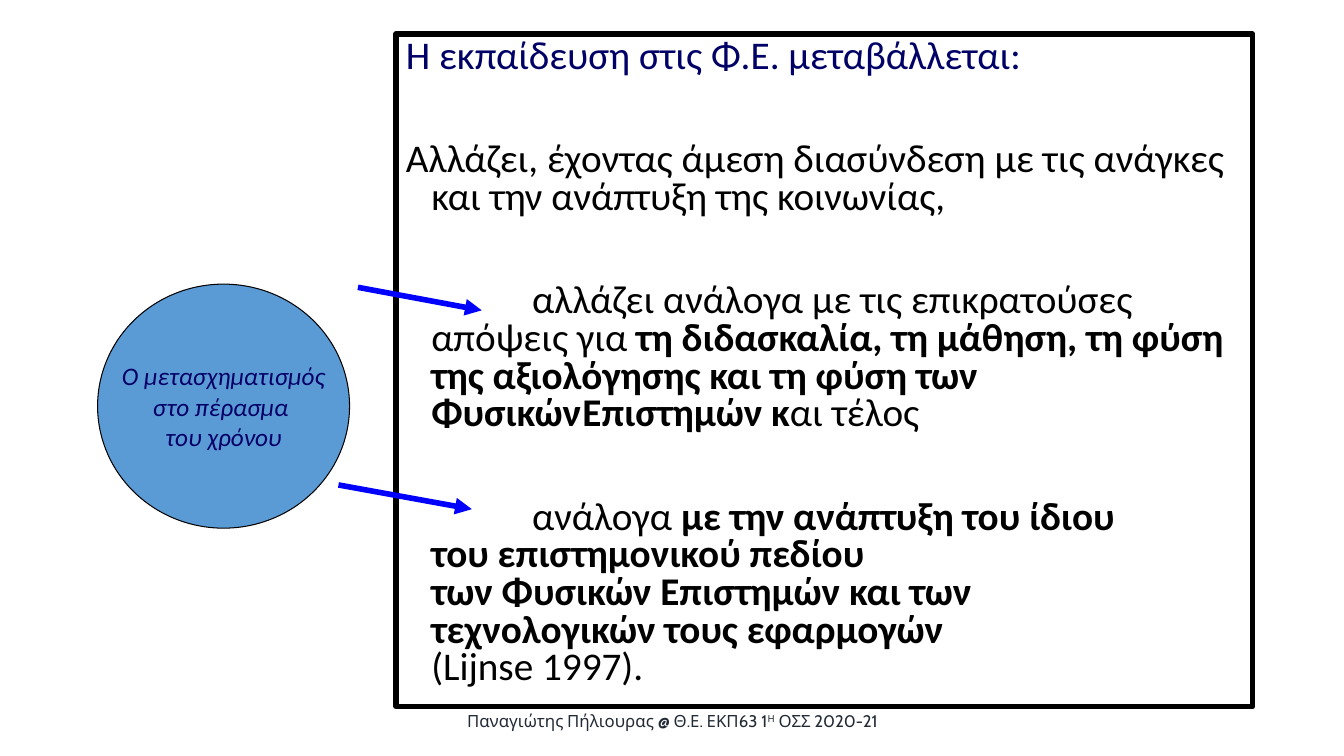
from dataclasses import dataclass

import pptx
import pptx.dml.color
import pptx.enum.shapes
import pptx.enum.text
import pptx.oxml
import pptx.oxml.ns
import pptx.util
from pptx.util import Cm, Pt

NAVY = pptx.dml.color.RGBColor(0x00, 0x00, 0x66)
BLACK = pptx.dml.color.RGBColor(0x00, 0x00, 0x00)
BLUE = pptx.dml.color.RGBColor(0x00, 0x00, 0xFF)
SKY = pptx.dml.color.RGBColor(0x5B, 0x9B, 0xD5)
SLATE = pptx.dml.color.RGBColor(0x22, 0x2A, 0x35)

HANGING = Cm(-0.64)
FIRST_LINE = Cm(2.54)
LINE_GAP = Pt(10)
SECTION_GAP = Pt(47)


@dataclass
class Piece:
    text: str
    bold: bool = False
    baseline: int = 0


@dataclass
class Statement:
    pieces: list[Piece]
    indent: int = HANGING
    space_before: int = SECTION_GAP
    color: pptx.dml.color.RGBColor = BLACK


@dataclass
class Arrow:
    start: tuple[float, float]
    end: tuple[float, float]


STATEMENTS = [
    Statement([Piece("H εκπαίδευση στις Φ.Ε. μεταβάλλεται:")], space_before=LINE_GAP, color=NAVY),
    Statement([Piece("Αλλάζει, έχοντας άμεση διασύνδεση με τις ανάγκες και την ανάπτυξη της κοινωνίας,")]),
    Statement([
        Piece("αλλάζει ανάλογα με τις επικρατούσες απόψεις για "),
        Piece("τη διδασκαλία, τη μάθηση, \tτη φύση της αξιολόγησης και τη φύση των "
              "\vΦυσικών\tΕπιστημών κ", bold=True),
        Piece("αι τέλος"),
    ], indent=FIRST_LINE),
    Statement([
        Piece("ανάλογα "),
        Piece("με την ανάπτυξη του ίδιου \vτου επιστημονικού πεδίου "
              "\vτων Φυσικών Επιστημών και των \vτεχνολογικών τους εφαρμογών ", bold=True),
        Piece("\v(Lijnse 1997)."),
    ], indent=FIRST_LINE),
]
CIRCLE_LINES = ["Ο μετασχηματισμός", "στο πέρασμα ", "του χρόνου"]
FOOTER = [Piece("Παναγιώτης Πήλιουρας @ Θ.Ε. ΕΚΠ63 1"), Piece("Η", baseline=30), Piece(" ΟΣΣ 2020-21")]
ARROWS = [Arrow((8.53, 12.22), (11.89, 12.83)), Arrow((9.02, 7.24), (12.14, 7.82))]


def set_font(paragraph, name: str, size: int, color: pptx.dml.color.RGBColor) -> None:
    paragraph.font.name = name
    paragraph.font.size = Pt(size)
    paragraph.font.color.rgb = color


def add_pieces(paragraph, pieces: list[Piece]) -> None:
    for piece in pieces:
        # A vertical tab marks a line break inside a run of equal formatting
        for number, line in enumerate(piece.text.split("\v")):
            if number:
                paragraph.add_line_break()
            if not line:
                continue
            run = paragraph.add_run()
            run.text = line
            if piece.bold:
                run.font.bold = True
            if piece.baseline:
                run.font._element.set("baseline", str(piece.baseline * 1000))


def next_paragraph(text_frame, number: int):
    return text_frame.add_paragraph() if number else text_frame.paragraphs[0]


def add_statements(slide) -> None:
    shape = slide.shapes.add_shape(
        pptx.enum.shapes.MSO_SHAPE.RECTANGLE, Cm(9.98), Cm(0.86), Cm(21.59), Cm(16.94))
    shape.shadow.inherit = False
    shape.fill.background()
    shape.line.color.rgb = BLACK
    shape.line.width = Pt(4)
    text_frame = shape.text_frame
    text_frame.word_wrap = True
    text_frame.vertical_anchor = pptx.enum.text.MSO_ANCHOR.TOP
    for number, statement in enumerate(STATEMENTS):
        paragraph = next_paragraph(text_frame, number)
        paragraph.alignment = pptx.enum.text.PP_ALIGN.LEFT
        paragraph.line_spacing = 0.8
        paragraph.space_before = statement.space_before
        set_font(paragraph, "Calibri", 28, statement.color)
        properties = paragraph._p.get_or_add_pPr()
        properties.set("marL", str(Cm(0.64)))
        properties.set("indent", str(statement.indent))
        add_pieces(paragraph, statement.pieces)


def add_arrow(slide, arrow: Arrow) -> None:
    connector = slide.shapes.add_connector(
        pptx.enum.shapes.MSO_CONNECTOR.STRAIGHT, *map(Cm, arrow.start + arrow.end))
    connector.line.color.rgb = BLUE
    connector.line.width = Pt(4)
    line = connector.line._get_or_add_ln()
    head = pptx.oxml.parse_xml(f'<a:tailEnd {pptx.oxml.ns.nsdecls("a")} type="triangle"/>')
    line.append(head)
    effects = pptx.oxml.parse_xml(f'<a:effectLst {pptx.oxml.ns.nsdecls("a")}/>')
    line.addnext(effects)


def add_circle(slide) -> None:
    shape = slide.shapes.add_shape(
        pptx.enum.shapes.MSO_SHAPE.OVAL, Cm(2.46), Cm(7.16), Cm(6.35), Cm(6.15))
    shape.shadow.inherit = False
    shape.fill.solid()
    shape.fill.fore_color.rgb = SKY
    shape.line.color.rgb = BLACK
    shape.line.width = Pt(0.75)
    text_frame = shape.text_frame
    text_frame.word_wrap = False
    text_frame.vertical_anchor = pptx.enum.text.MSO_ANCHOR.MIDDLE
    for number, line in enumerate(CIRCLE_LINES):
        paragraph = next_paragraph(text_frame, number)
        paragraph.alignment = pptx.enum.text.PP_ALIGN.CENTER
        set_font(paragraph, "Calibri", 18, NAVY)
        paragraph.font.italic = True
        add_pieces(paragraph, [Piece(line)])


def add_footer(slide) -> None:
    text_frame = slide.shapes.add_textbox(Cm(11.23), Cm(17.65), Cm(11.43), Cm(1.02)).text_frame
    text_frame.word_wrap = True
    text_frame.vertical_anchor = pptx.enum.text.MSO_ANCHOR.MIDDLE
    paragraph = text_frame.paragraphs[0]
    paragraph.alignment = pptx.enum.text.PP_ALIGN.CENTER
    set_font(paragraph, "Cabin", 12, SLATE)
    add_pieces(paragraph, FOOTER)


def main() -> None:
    presentation = pptx.Presentation()
    presentation.slide_width = Cm(33.87)
    presentation.slide_height = Cm(19.05)
    slide = presentation.slides.add_slide(presentation.slide_layouts[6])

    # Framed statements, with arrows pointing at the indented ones
    add_statements(slide)
    for arrow in ARROWS:
        add_arrow(slide, arrow)

    # Circle on the left and footer
    add_circle(slide)
    add_footer(slide)

    presentation.save("out.pptx")


if __name__ == "__main__":
    main()
